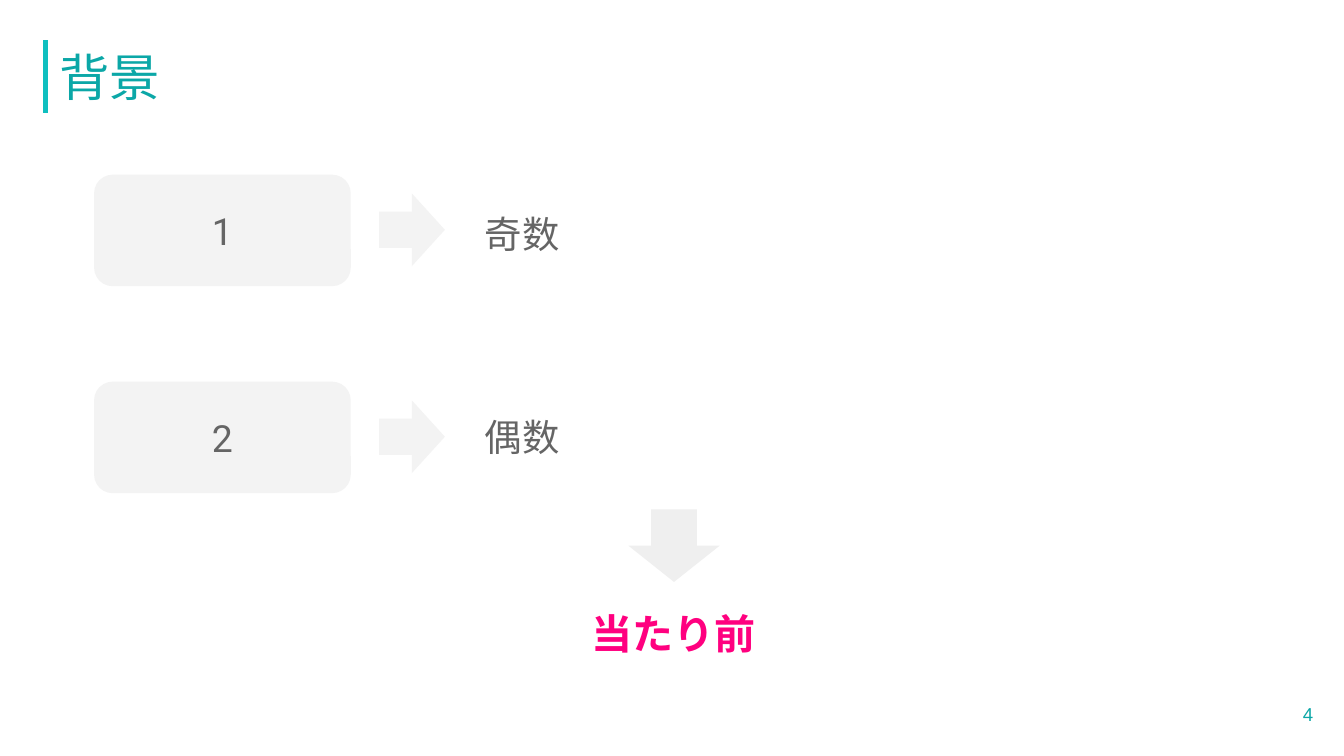
import pptx
import pptx.dml.color
import pptx.enum.shapes
import pptx.enum.text
import pptx.oxml
import pptx.util
from pptx.util import Inches

RGBColor = pptx.dml.color.RGBColor
Shape = pptx.enum.shapes.MSO_SHAPE
Align = pptx.enum.text.PP_ALIGN

TEAL = RGBColor(0x0B, 0xA7, 0xA7)
BAR_TEAL = RGBColor(0x0F, 0xBF, 0xBF)
GRAY = RGBColor(0x65, 0x65, 0x65)
PALE = RGBColor(0xF3, 0xF3, 0xF3)
PALE_DARK = RGBColor(0xEF, 0xEF, 0xEF)
PINK = RGBColor(0xFF, 0x00, 0x7F)

TITLE = {"name": "Roboto", "size": pptx.util.Pt(27), "bold": False}
BODY = {"name": "Roboto", "size": pptx.util.Pt(20), "bold": False}
CONCLUSION = {"name": "Roboto", "size": pptx.util.Pt(22), "bold": True}
NUMBER = {"name": "Arial", "size": pptx.util.Pt(10), "bold": False}


def write(box, text, font, color, align):
    frame = box.text_frame
    settings = {
        "word_wrap": True,
        "auto_size": pptx.enum.text.MSO_AUTO_SIZE.NONE,
        "vertical_anchor": pptx.enum.text.MSO_ANCHOR.MIDDLE,
    }
    for side in ("left", "top", "right", "bottom"):
        settings["margin_" + side] = Inches(0.1)
    for name, value in settings.items():
        setattr(frame, name, value)
    para = frame.paragraphs[0]
    para.alignment = align
    span = para.add_run()
    span.text = text
    for name, value in font.items():
        setattr(span.font, name, value)
    span.font.color.rgb = color


def add_text(page, left, top, width, height, text, font, color, align):
    box = page.shapes.add_textbox(*map(Inches, (left, top, width, height)))
    write(box, text, font, color, align)


def add_solid(page, kind, left, top, width, height, color):
    solid = page.shapes.add_shape(kind, *map(Inches, (left, top, width, height)))
    solid.shadow.inherit = False
    solid.fill.solid()
    solid.fill.fore_color.rgb = color
    solid.line.fill.background()
    return solid


def add_heading(page, left, top, width, height, text):
    bar = page.shapes.add_connector(
        pptx.enum.shapes.MSO_CONNECTOR.STRAIGHT,
        *map(Inches, (left, top, left, top + height)),
    )
    bar.line.color.rgb = BAR_TEAL
    bar.line.width = pptx.util.Pt(3)
    properties = bar.element.spPr
    properties.append(pptx.oxml.parse_xml(
        '<a:effectLst xmlns:a="http://schemas.openxmlformats.org/drawingml/2006/main"/>'
    ))
    title = page.shapes.title
    place = {"left": left, "top": top, "width": width, "height": height}
    for name, value in place.items():
        setattr(title, name, Inches(value))
    write(title, text, TITLE, TEAL, Align.LEFT)


def add_example(page, left, top, label_top, number, label):
    card = add_solid(page, Shape.ROUNDED_RECTANGLE, left, top, 1.91, 0.83, PALE)
    write(card, number, BODY, GRAY, Align.CENTER)
    add_solid(page, Shape.RIGHT_ARROW, left + 2.12, top + 0.14, 0.49, 0.54, PALE)
    add_text(page, left + 2.81, label_top, 3.25, 0.88, label, BODY, GRAY, Align.LEFT)


def add_conclusion(page, left, top, width, text):
    arrow_width = 0.68
    arrow_left = left + (width - arrow_width) / 2
    add_solid(page, Shape.DOWN_ARROW, arrow_left, top, arrow_width, 0.54, PALE_DARK)
    add_text(page, left, top + 0.65, width, 0.54, text, CONCLUSION, PINK, Align.CENTER)


def main():
    deck = pptx.Presentation()
    deck.slide_width = Inches(10)
    deck.slide_height = Inches(10 * 9 / 16)
    page = deck.slides.add_slide(deck.slide_layouts[5])
    add_heading(page, 0.34, 0.3, 9.32, 0.54, "背景")
    examples = [(1.3, 1.3, "1", "奇数"), (2.84, 2.81, "2", "偶数")]
    for top, label_top, number, label in examples:
        add_example(page, 0.7, top, label_top, number, label)
    add_conclusion(page, 3.85, 3.79, 2.33, "当たり前")
    add_text(page, 9.27, 5.1, 0.6, 0.43, "4", NUMBER, TEAL, Align.RIGHT)
    deck.save("out.pptx")


if __name__ == "__main__":
    main()
